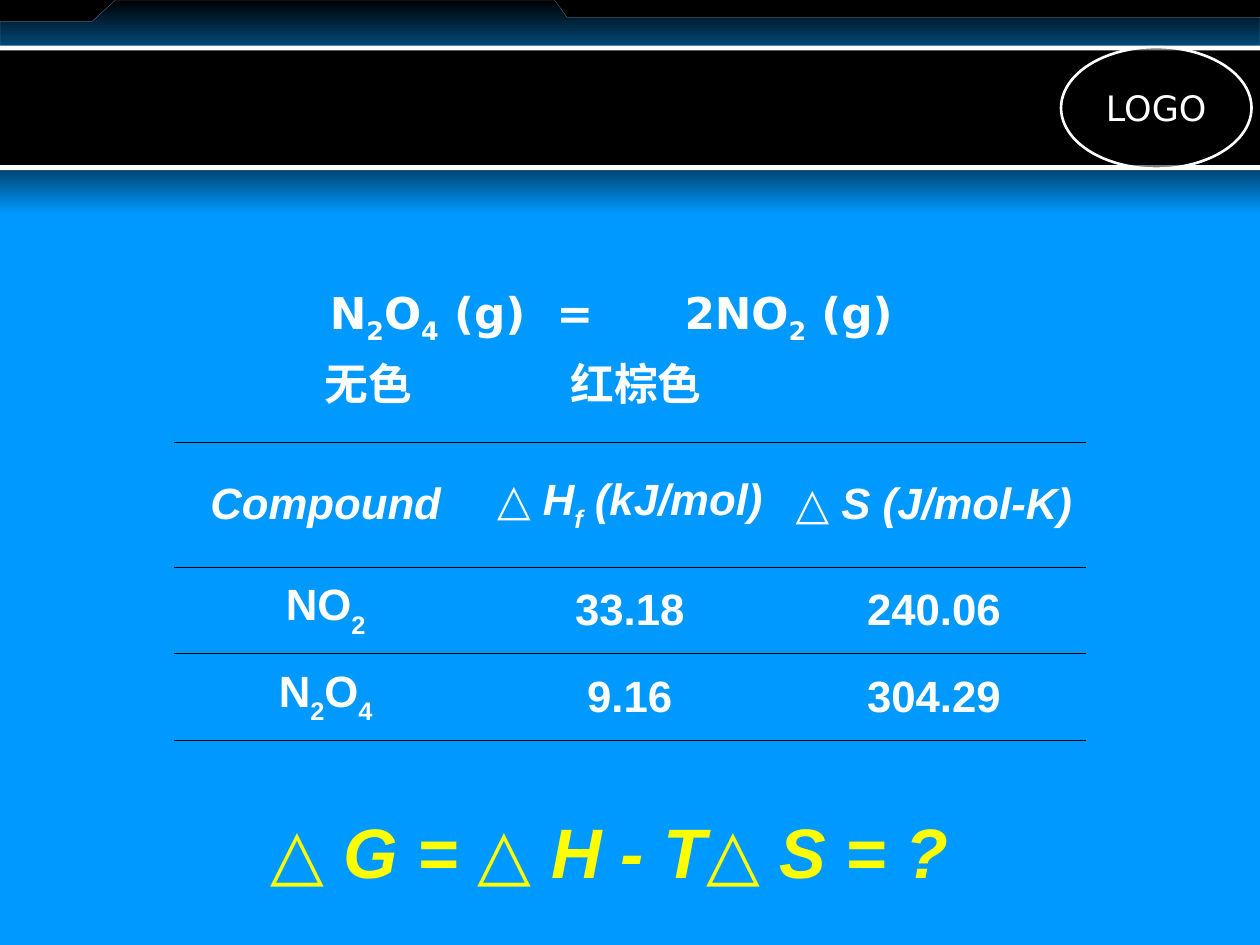
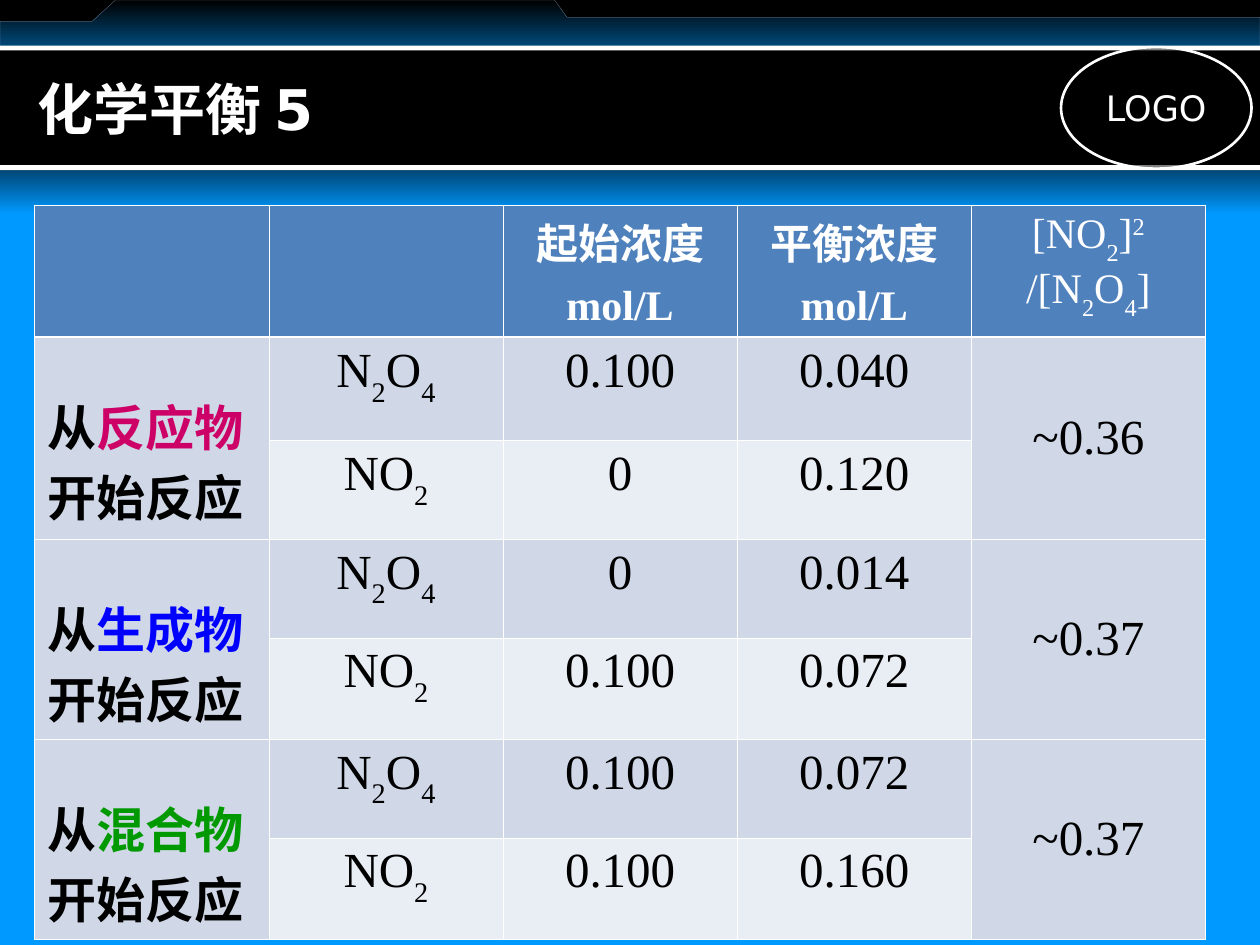
from lxml import etree
from pptx import Presentation
from pptx.dml.color import RGBColor
from pptx.enum import shapes, text
from pptx.oxml.ns import qn
from pptx.util import Cm, Pt

BLACK = RGBColor(0x00, 0x00, 0x00)
WHITE = RGBColor(0xFF, 0xFF, 0xFF)
SKY = RGBColor(0x00, 0x99, 0xFF)
NAVY = RGBColor(0x00, 0x47, 0x76)
EDGE_GREY = RGBColor(0x87, 0x8F, 0xA5)
YELLOW = RGBColor(0xFF, 0xFF, 0x00)
HEADER_BLUE = RGBColor(0x4F, 0x81, 0xBD)
ROW_DARK = RGBColor(0xD0, 0xD8, 0xE8)
ROW_LIGHT = RGBColor(0xE9, 0xED, 0xF4)
MAGENTA = RGBColor(0xCC, 0x00, 0x66)
BLUE = RGBColor(0x00, 0x00, 0xFF)
GREEN = RGBColor(0x00, 0x99, 0x00)

SANS, SERIF, ROUND, LABEL = "Arial", "Times New Roman", "DejaVu Sans", "Calibri"
LEFT, CENTER = text.PP_ALIGN.LEFT, text.PP_ALIGN.CENTER
TOP, MIDDLE = text.MSO_ANCHOR.TOP, text.MSO_ANCHOR.MIDDLE
WIDTH, HEIGHT = 25.4, 19.05

# In marked text, "_" lowers and "^" raises the next character.
EQUATION = ["\tN_2O_4 (g)\t=\t2NO_2 (g)", "\t无色\t红棕色"]
EQUATION_TABS = [(2.95, 7.52, 10.1), (2.85, 7.8)]
COMPOUNDS = [
    ("Compound", "△ H_f (kJ/mol)", "△ S (J/mol-K)"),
    ("NO_2", "33.18", "240.06"),
    ("N_2O_4", "9.16", "304.29"),
]
FREE_ENERGY = "△ G = △ H - T△ S = ?"

TITLE = "化学平衡 5"
HEADINGS = [[], [], ["起始浓度", "mol/L"], ["平衡浓度", "mol/L"],
            ["[NO_2]^2 /[N_2O_4]"]]
EXPERIMENTS = [
    {"start": "反应物", "color": MAGENTA, "ratio": "~0.36",
     "rows": [("N_2O_4", "0.100", "0.040"), ("NO_2", "0", "0.120")]},
    {"start": "生成物", "color": BLUE, "ratio": "~0.37",
     "rows": [("N_2O_4", "0", "0.014"), ("NO_2", "0.100", "0.072")]},
    {"start": "混合物", "color": GREEN, "ratio": "~0.37",
     "rows": [("N_2O_4", "0.100", "0.072"), ("NO_2", "0.100", "0.160")]},
]


def split_shifts(marked):
    """Yield (text, direction) pieces; direction is -1, 0 or 1."""
    first, *others = marked.replace("^", "_^").split("_")
    yield first, 0
    for part in others:
        direction = 1 if part[0] == "^" else -1
        part = part.lstrip("^")
        yield part[0], direction
        yield part[1:], 0


def write(frame, paragraphs, font=SANS, size=25, color=WHITE, bold=False,
          italic=False, align=LEFT, before=0, shift=30, tabs=()):
    """Fill a text frame; a paragraph is marked text or (text, colour) pairs."""
    for index, content in enumerate(paragraphs):
        paragraph = frame.paragraphs[0] if index == 0 else frame.add_paragraph()
        paragraph.alignment = align
        if index:
            paragraph.space_before = Pt(before)
        if tabs:
            stops = etree.SubElement(paragraph._p.get_or_add_pPr(), qn("a:tabLst"))
            for position in tabs[index]:
                etree.SubElement(stops, qn("a:tab"), pos=str(Cm(position)), algn="l")
        pairs = [(content, color)] if isinstance(content, str) else content
        for marked, tint in pairs:
            for piece, direction in split_shifts(marked):
                if not piece:
                    continue
                run = paragraph.add_run()
                run.text = piece
                run.font.name, run.font.size = font, Pt(size)
                run.font.bold, run.font.italic = bold, italic
                run.font.color.rgb = tint
                if direction:
                    run.font._element.set("baseline", str(direction * shift * 1000))


def fill_down(shape, upper, lower):
    """Give a shape a gradient from its top to its bottom."""
    shape.fill.gradient()
    shape.fill.gradient_angle = 270
    for stop, color in zip(shape.fill.gradient_stops, (upper, lower)):
        stop.color.rgb = color


def add_band(slide, top, height, color):
    band = slide.shapes.add_shape(shapes.MSO_SHAPE.RECTANGLE,
                                  0, Cm(top), Cm(WIDTH), Cm(height))
    band.shadow.inherit = False
    band.fill.solid()
    band.fill.fore_color.rgb = color
    band.line.fill.background()
    return band


def add_tab_strip(slide):
    outline = [(WIDTH, 1.93), (WIDTH, 0.35), (11.43, 0.35), (11.18, 0),
               (2.33, 0), (1.86, 0.43), (0, 0.43)]
    builder = slide.shapes.build_freeform(0, Cm(1.93))
    builder.add_line_segments([(Cm(x), Cm(y)) for x, y in outline])
    strip = builder.convert_to_shape()
    strip.shadow.inherit = False
    fill_down(strip, BLACK, SKY)
    strip.line.color.rgb = EDGE_GREY
    strip.line.width = Pt(0.11)


def add_badge(slide):
    badge = slide.shapes.add_shape(shapes.MSO_SHAPE.OVAL,
                                   Cm(21.39), Cm(0.95), Cm(3.84), Cm(2.45))
    badge.shadow.inherit = False
    badge.fill.solid()
    badge.fill.fore_color.rgb = BLACK
    shade = badge.element.spPr.find(qn("a:solidFill"))[0]
    etree.SubElement(shade, qn("a:alpha"), val="50000")
    badge.line.color.rgb = WHITE
    badge.line.width = Pt(1.5)
    badge.text_frame.word_wrap = False
    badge.text_frame.vertical_anchor = MIDDLE
    write(badge.text_frame, ["LOGO"], font=ROUND, size=20, align=CENTER)


def add_themed_slide(deck, layout):
    slide = deck.slides.add_slide(deck.slide_layouts.get_by_name(layout))
    slide.background.fill.solid()
    slide.background.fill.fore_color.rgb = BLACK
    add_band(slide, 3.33, HEIGHT - 3.33, SKY)
    fill_down(add_band(slide, 3.43, 0.89, NAVY), NAVY, SKY)
    add_tab_strip(slide)
    add_band(slide, 0.97, 2.46, BLACK)
    for top in (3.33, 0.92):
        add_band(slide, top, 0.1, WHITE)
    add_badge(slide)
    return slide


def add_grid(slide, left, top, column_width, columns, heights):
    table = slide.shapes.add_table(len(heights), columns, Cm(left), Cm(top),
                                   Cm(column_width * columns),
                                   Cm(sum(heights))).table
    table.first_row = table.horz_banding = False
    for column in table.columns:
        column.width = Cm(column_width)
    for row, height in zip(table.rows, heights):
        row.height = Cm(height)
    return table


def style_cell(cell, borders, fill=None):
    """Set borders, given as {side: (colour, points)}, and then the fill."""
    properties = cell._tc.get_or_add_tcPr()
    for side in "LRTB":
        color, points = borders.get(side, (None, 0))
        line = etree.SubElement(properties, qn(f"a:ln{side}"), w=str(Pt(points)))
        if color is None:
            etree.SubElement(line, qn("a:noFill"))
        else:
            solid = etree.SubElement(line, qn("a:solidFill"))
            etree.SubElement(solid, qn("a:srgbClr"), val=str(color))
    if fill is None:
        cell.fill.background()
    else:
        cell.fill.solid()
        cell.fill.fore_color.rgb = fill


def add_text_box(slide, left, top, width, height):
    frame = slide.shapes.add_textbox(Cm(left), Cm(top), Cm(width),
                                     Cm(height)).text_frame
    frame.word_wrap = False
    return frame


def build_free_energy(deck):
    slide = add_themed_slide(deck, "Blank")
    equation = add_text_box(slide, 3.7, 5.51, 16, 3)
    equation.word_wrap = True
    equation.margin_left = equation.margin_right = 0
    equation.margin_top = Cm(0.25)
    write(equation, EQUATION, font=ROUND, bold=True, before=6.2, shift=25,
          tabs=EQUATION_TABS)

    table = add_grid(slide, 3.5, 8.91, 6.13, 3, [2.52, 1.75, 1.75])
    rules = {side: (BLACK, 0.45) for side in "TB"}
    for r, row in enumerate(COMPOUNDS):
        for c, value in enumerate(row):
            cell = table.cell(r, c)
            style_cell(cell, rules)
            cell.vertical_anchor = MIDDLE
            write(cell.text_frame, [value], bold=True, italic=r == 0, align=CENTER)

    write(add_text_box(slide, 5.21, 16.18, 14.17, 1.96), [FREE_ENERGY],
          size=40, color=YELLOW, bold=True, italic=True)


def build_equilibrium(deck):
    slide = add_themed_slide(deck, "Title Only")
    title = slide.shapes.title
    title.element.getparent().append(title.element)
    title.left, title.top, title.width, title.height = map(
        Cm, (0.51, 1.02, 18.01, 2.31))
    title.text_frame.auto_size = text.MSO_AUTO_SIZE.NONE
    title.text_frame.vertical_anchor = MIDDLE
    write(title.text_frame, [TITLE], font=ROUND, size=32, bold=True)

    table = add_grid(slide, 0.7, 4.13, 4.72, 5, [2.67, 2.08] + [1.99] * 5)
    for r in range(len(table.rows)):
        borders = {side: (WHITE, 0.45) for side in "LRTB"}
        if r < 2:
            borders["B" if r == 0 else "T"] = (WHITE, 1.47)
        for c in range(len(table.columns)):
            if r == 0:
                fill = HEADER_BLUE
            else:
                fill = ROW_DARK if r % 2 or c in (0, 4) else ROW_LIGHT
            style_cell(table.cell(r, c), borders, fill)

    for c, lines in enumerate(HEADINGS):
        write(table.cell(0, c).text_frame, lines, font=SERIF, size=24,
              bold=c < 4, align=CENTER, before=6)

    body = {"size": 28, "color": BLACK}
    for e, experiment in enumerate(EXPERIMENTS):
        first = 1 + 2 * e
        for c in (0, 4):
            table.cell(first, c).merge(table.cell(first + 1, c))
        start, ratio = table.cell(first, 0), table.cell(first, 4)
        start.margin_top = Cm(1.05)
        start.vertical_anchor = TOP
        write(start.text_frame,
              [[("从", BLACK), (experiment["start"], experiment["color"]),
                ("开始反应", BLACK)]], font=LABEL, bold=True, **body)
        ratio.vertical_anchor = MIDDLE
        write(ratio.text_frame, [experiment["ratio"]], font=SERIF,
              align=CENTER, **body)
        for r, row in enumerate(experiment["rows"], first):
            for c, value in enumerate(row, 1):
                write(table.cell(r, c).text_frame, [value], font=SERIF,
                      align=CENTER, **body)


def main():
    deck = Presentation()
    deck.slide_width, deck.slide_height = Cm(WIDTH), Cm(HEIGHT)
    build_free_energy(deck)
    build_equilibrium(deck)
    deck.save("out.pptx")


if __name__ == "__main__":
    main()
